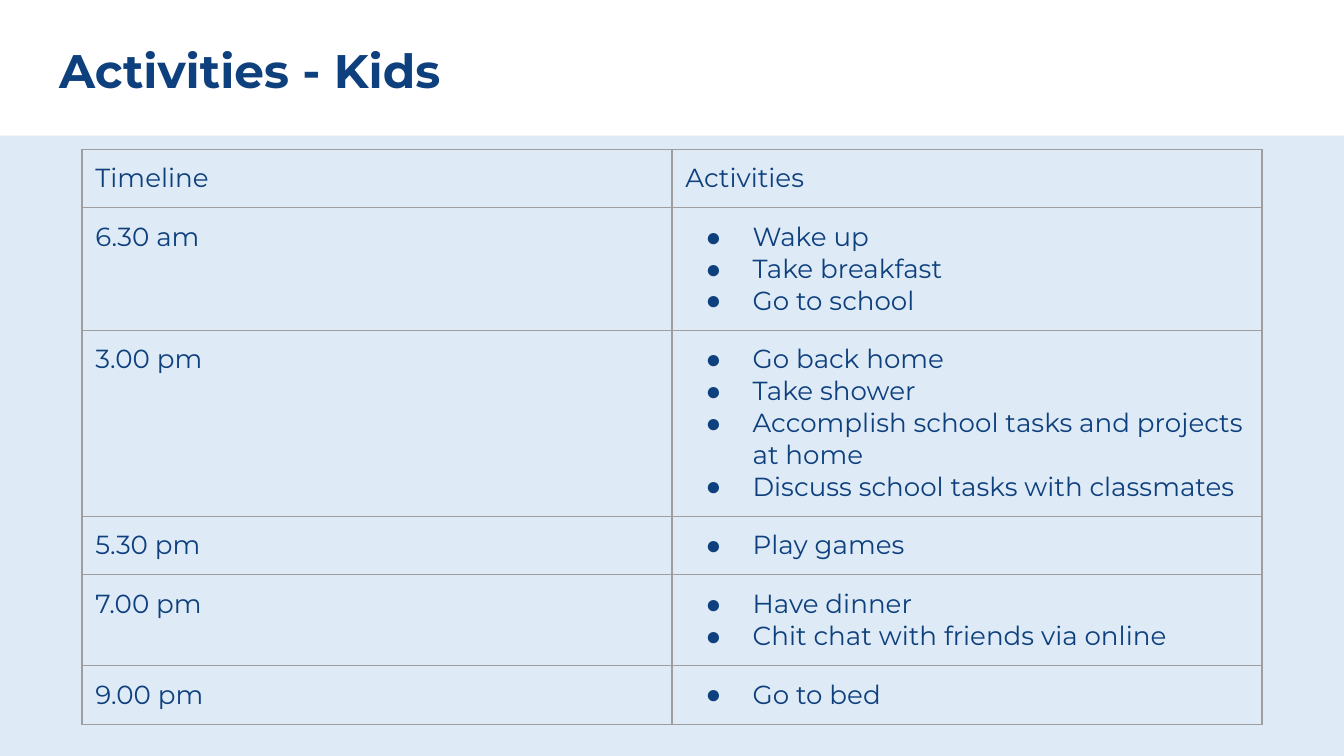
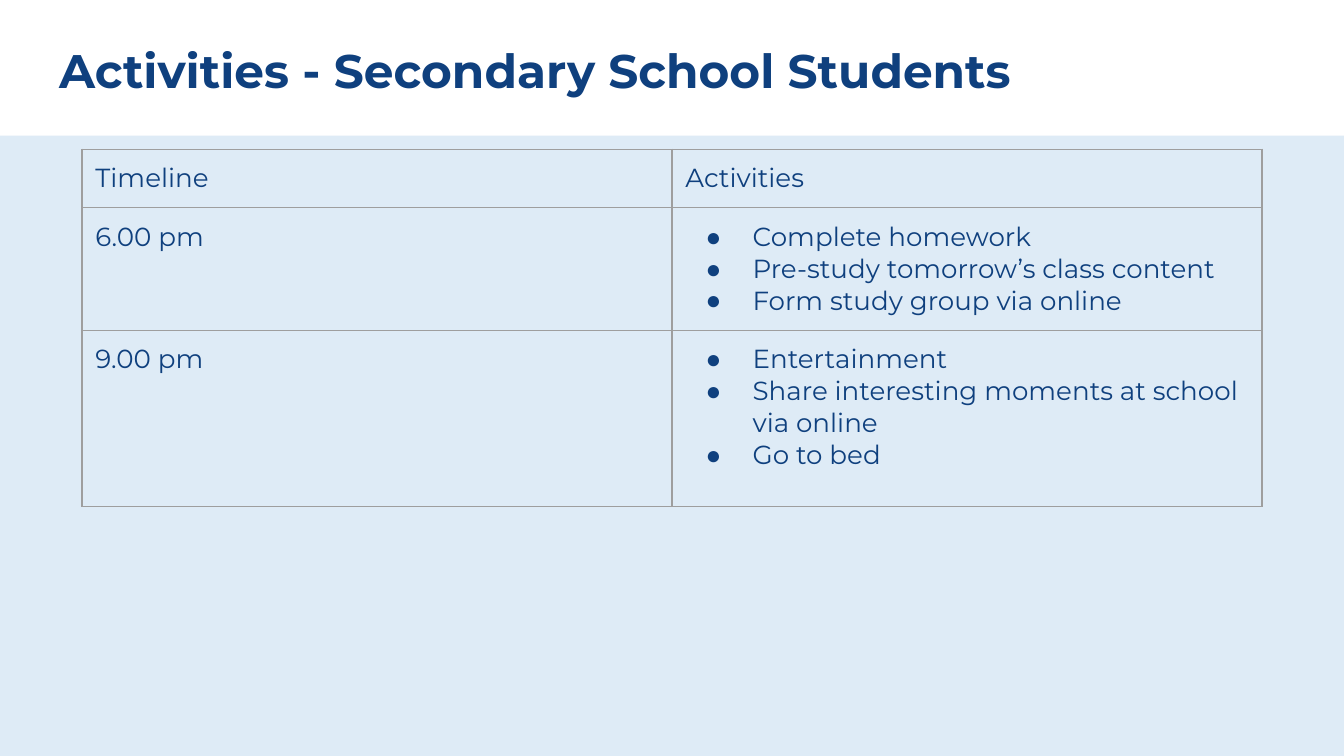
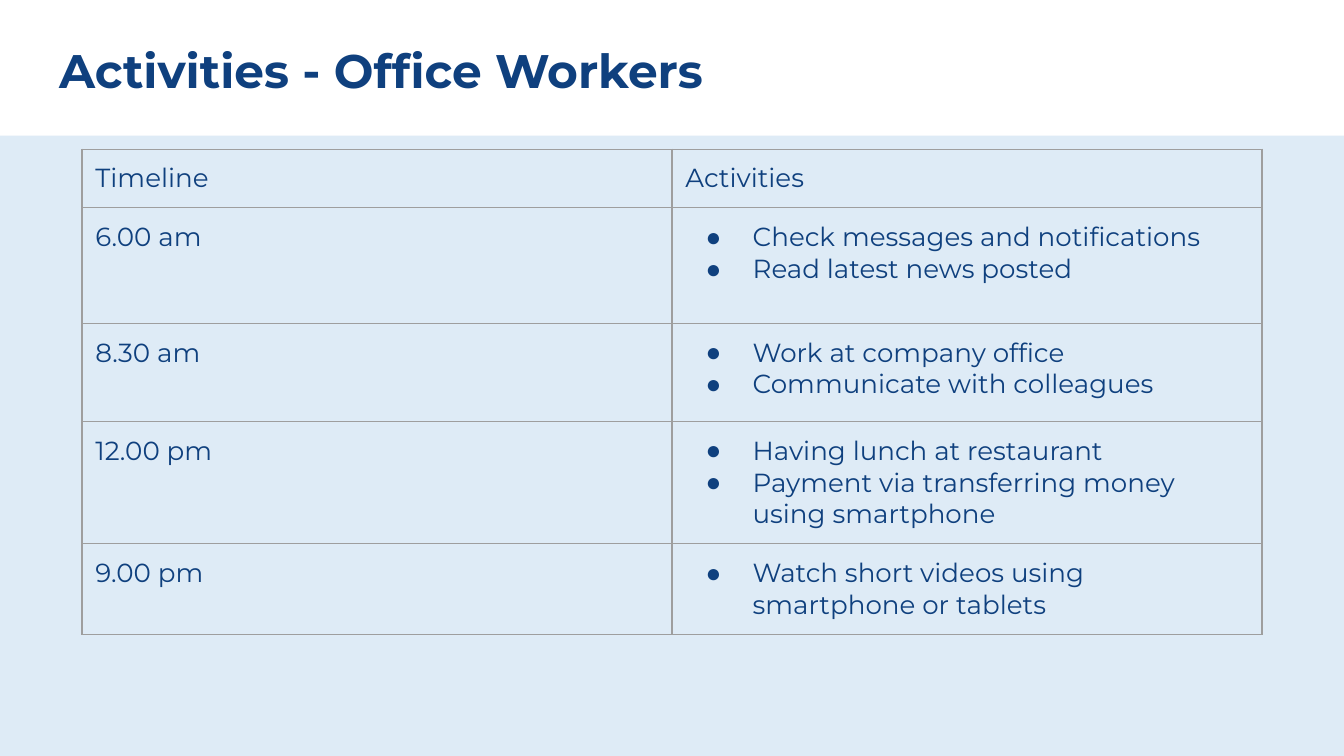
from lxml import etree
from pptx import Presentation
from pptx.dml.color import RGBColor
from pptx.enum import shapes, text
from pptx.oxml import ns
from pptx.util import Inches, Pt

HUES = {"ink": "0F407E", "band": "CFE2F3", "rule": "9E9E9E"}
FACE = "Montserrat"
PAD = Inches(0.1)
HEAD = ("Timeline", "Activities")
HEAD_ROW = 0.42

# Each slide: title, then rows of (height, time, activities)
PLANS = [
    ("Activities - Kids", [
        (0.86, "6.30 am", ["Wake up", "Take breakfast", "Go to school"]),
        (1.31, "3.00 pm", ["Go back home", "Take shower",
                           "Accomplish school tasks and projects at home",
                           "Discuss school tasks with classmates"]),
        (0.42, "5.30 pm", ["Play games"]),
        (0.64, "7.00 pm", ["Have dinner", "Chit chat with friends via online"]),
        (0.42, "9.00 pm", ["Go to bed"]),
    ]),
    ("Activities - Secondary School Students", [
        (0.86, "6.00 pm", ["Complete homework",
                           "Pre-study tomorrow’s class content",
                           "Form study group via online"]),
        (1.31, "9.00 pm", ["Entertainment",
                           "Share interesting moments at school via online",
                           "Go to bed"]),
    ]),
    ("Activities - Office Workers", [
        (0.86, "6.00 am", ["Check messages and notifications",
                           "Read latest news posted"]),
        (0.73, "8.30 am", ["Work at company office",
                           "Communicate with colleagues"]),
        (0.42, "12.00 pm", ["Having lunch at restaurant",
                            "Payment via transferring money using smartphone"]),
        (0.64, "9.00 pm", ["Watch short videos using smartphone or tablets"]),
    ]),
]


def add(node, tag, **attrs):
    """Append a drawing element, such as a:ln, and return it."""
    return etree.SubElement(node, ns.qn(tag), attrs)


def tint(node, hue):
    fill = add(node, "a:solidFill")
    return add(fill, "a:srgbClr", val=HUES[hue])


class Deck:
    def __init__(self):
        self.prs = Presentation()
        self.prs.slide_width = Inches(10)
        self.prs.slide_height = Inches(10) * 9 // 16
        self.slide = None

    def start(self, name):
        self.slide = self.prs.slides.add_slide(self.prs.slide_layouts[5])
        self.band()
        self.title(name)

    def style(self, par, size, bold=False):
        par.font.name = FACE
        par.font.size = Pt(size)
        par.font.bold = bold
        par.font.color.rgb = RGBColor.from_string(HUES["ink"])

    def band(self):
        """Lay the translucent panel, turned on its side, below the title."""
        box = self.slide.shapes.add_shape(
            shapes.MSO_SHAPE.RECTANGLE,
            Inches(2.69), Inches(-1.69), Inches(4.62), Inches(10.02))
        box.rotation = 90
        box.shadow.inherit = False
        box.line.fill.background()
        box.fill.solid()
        box.fill.fore_color.rgb = RGBColor.from_string(HUES["band"])
        color = box.fill._xPr.find(".//" + ns.qn("a:srgbClr"))
        add(color, "a:alpha", val="68000")

    def title(self, name):
        head = self.slide.shapes.title
        head.left, head.top = Inches(0.34), Inches(0.21)
        head.width, head.height = Inches(9.32), Inches(0.63)
        frame = head.text_frame
        frame.text = name
        frame.word_wrap = True
        frame.auto_size = text.MSO_AUTO_SIZE.NONE
        frame.vertical_anchor = text.MSO_ANCHOR.TOP
        frame.margin_left = frame.margin_right = PAD
        frame.margin_top = frame.margin_bottom = PAD
        par = frame.paragraphs[0]
        par.alignment = text.PP_ALIGN.LEFT
        self.style(par, 25.2, bold=True)

    def table(self, rows):
        highs = [HEAD_ROW] + [high for high, _, _ in rows]
        grid = self.slide.shapes.add_table(
            len(highs), 2, Inches(0.61), Inches(1.11),
            Inches(8.78), Inches(sum(highs))).table
        grid.first_row = grid.horz_banding = False
        for row, high in zip(grid.rows, highs):
            row.height = Inches(high)
        for col, label in enumerate(HEAD):
            self.cell(grid.cell(0, col), [label])
        for num, (_, time, acts) in enumerate(rows, 1):
            self.cell(grid.cell(num, 0), [time])
            self.cell(grid.cell(num, 1), acts, listed=True)

    def cell(self, cell, lines, listed=False):
        cell.margin_left = cell.margin_right = PAD
        cell.margin_top = cell.margin_bottom = PAD
        props = cell._tc.get_or_add_tcPr()
        for side in "LRTB":
            tint(add(props, f"a:ln{side}", w=str(Pt(0.75))), "rule")
        cell.fill.background()
        cell.text_frame.text = "\n".join(lines)
        for par in cell.text_frame.paragraphs:
            if listed:
                self.bullet(par)
            self.style(par, 14)

    def bullet(self, par):
        props = par._p.get_or_add_pPr()
        props.set("marL", str(Inches(0.5)))
        props.set("indent", str(Inches(-0.35)))
        color = add(props, "a:buClr")
        add(color, "a:srgbClr", val=HUES["ink"])
        add(props, "a:buFont", typeface="Arial")
        add(props, "a:buChar", char="●")


def main():
    deck = Deck()
    for name, rows in PLANS:
        deck.start(name)
        deck.table(rows)
    deck.prs.save("out.pptx")


if __name__ == "__main__":
    main()
